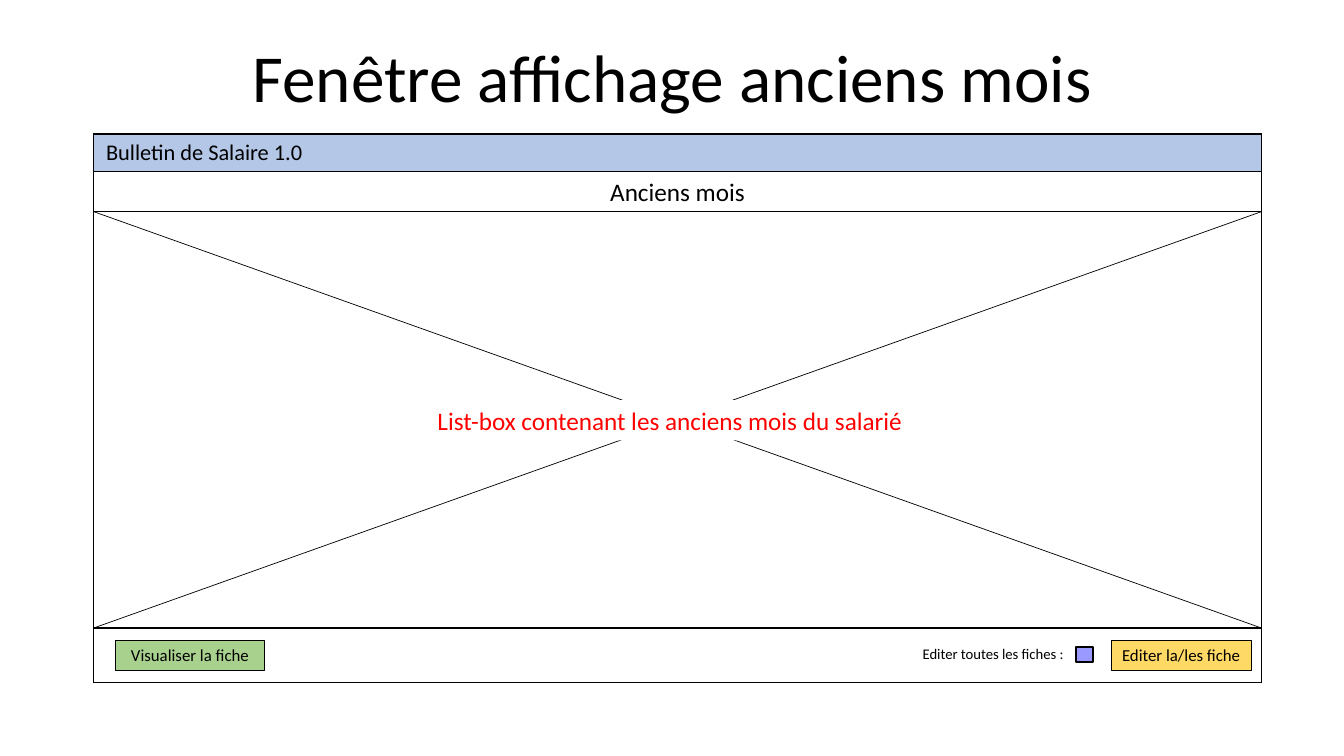
from dataclasses import dataclass

from lxml.etree import SubElement
from pptx import Presentation
from pptx.dml.color import RGBColor
from pptx.enum.shapes import MSO_CONNECTOR, MSO_SHAPE
from pptx.enum.text import MSO_ANCHOR, PP_ALIGN
from pptx.oxml.ns import qn
from pptx.util import Inches, Pt


@dataclass(frozen=True)
class Theme:
    """Colours, type sizes and line widths of the window mock-up."""
    font: str = "Calibri"
    black: str = "000000"
    white: str = "FFFFFF"
    red: str = "FF0000"
    title_bar: str = "B4C7E7"
    edit: str = "FFD966"
    view: str = "A9D18E"
    checkbox: str = "9999FF"
    title: float = 48
    heading: float = 18
    window_name: float = 16
    button: float = 12
    label: float = 10.5
    hairline: float = 0.5
    thin: float = 0.75
    frame: float = 1
    thick: float = 1.5


class Mockup:
    """Draws the elements of a window mock-up on one slide."""

    def __init__(self, slide, theme):
        self.shapes = slide.shapes
        self.theme = theme

    def caption(self, shape, text, size, color=None, align=PP_ALIGN.CENTER,
                anchor=MSO_ANCHOR.TOP, spacing=None):
        """Put one styled paragraph into a shape."""
        frame = shape.text_frame
        frame.word_wrap = True
        frame.vertical_anchor = anchor
        paragraph = frame.paragraphs[0]
        paragraph.text = text
        paragraph.alignment = align
        if spacing:
            paragraph.line_spacing = spacing
        paragraph.font.name = self.theme.font
        paragraph.font.size = Pt(size)
        paragraph.font.color.rgb = RGBColor.from_string(color or self.theme.black)

    def panel(self, left, top, width, height, fill=None, line=None):
        """Add a rectangle with an optional fill and outline."""
        panel = self.shapes.add_shape(
            MSO_SHAPE.RECTANGLE, *map(Inches, (left, top, width, height)))
        panel.shadow.inherit = False
        if fill:
            panel.fill.solid()
            panel.fill.fore_color.rgb = RGBColor.from_string(fill)
        else:
            panel.fill.background()
        if line:
            panel.line.color.rgb = RGBColor.from_string(self.theme.black)
            panel.line.width = Pt(line)
        else:
            panel.line.fill.background()
        return panel

    def label(self, left, top, width, height, text, size, **style):
        """Add a text box."""
        box = self.shapes.add_textbox(*map(Inches, (left, top, width, height)))
        self.caption(box, text, size, **style)

    def diagonal(self, start, end):
        """Add a thin line between two points."""
        line = self.shapes.add_connector(
            MSO_CONNECTOR.STRAIGHT, *map(Inches, (*start, *end)))
        line.line.color.rgb = RGBColor.from_string(self.theme.black)
        line.line.width = Pt(self.theme.hairline)
        SubElement(line._element.spPr, qn("a:effectLst"))


def main():
    """Build the slide and save it."""
    presentation = Presentation()
    presentation.slide_width = Inches(13.33)
    presentation.slide_height = Inches(7.5)
    slide = presentation.slides.add_slide(presentation.slide_layouts[6])
    theme = Theme()
    mockup = Mockup(slide, theme)

    left, top, width, height = 0.93, 1.33, 11.58, 5.44
    right = left + width
    heading_top, list_top, footer_top = 1.7, 2.1, 6.23
    button_top, button_height = 6.35, 0.3
    heading_style = {"anchor": MSO_ANCHOR.BOTTOM, "spacing": 0.8}

    mockup.panel(left, top, width, height, line=theme.frame)
    mockup.label(0.92, 0.4, 11.5, 0.79, "Fenêtre affichage anciens mois",
                 theme.title, **heading_style)
    mockup.panel(left, top, width, heading_top - top, theme.title_bar, theme.frame)
    mockup.label(left, 1.35, 2.19, 0.33, "Bulletin de Salaire 1.0",
                 theme.window_name, **heading_style)
    heading = mockup.panel(left, heading_top, width, list_top - heading_top,
                           line=theme.thin)
    mockup.caption(heading, "Anciens mois", theme.heading)

    mockup.panel(left, footer_top, width, top + height - footer_top, line=theme.frame)
    for button_left, button_width, fill, action in (
            (1.15, 1.47, theme.view, "Visualiser la fiche"),
            (11.02, 1.39, theme.edit, "Editer la/les fiche")):
        button = mockup.panel(button_left, button_top, button_width, button_height,
                              fill, theme.thin)
        mockup.caption(button, action, theme.button)
    mockup.panel(10.67, 6.42, 0.17, 0.15, theme.checkbox, theme.thick)
    mockup.label(8.99, button_top, 1.72, 0.28, "Editer toutes les fiches :", theme.label)

    mockup.diagonal((left, list_top), (right, footer_top))
    mockup.diagonal((right, list_top), (left, footer_top))
    list_box = mockup.panel(4.24, 3.97, 4.95, 0.4, theme.white)
    mockup.caption(list_box, "List-box contenant les anciens mois du salarié",
                   theme.heading, theme.red, PP_ALIGN.LEFT)

    presentation.save("out.pptx")


if __name__ == "__main__":
    main()
